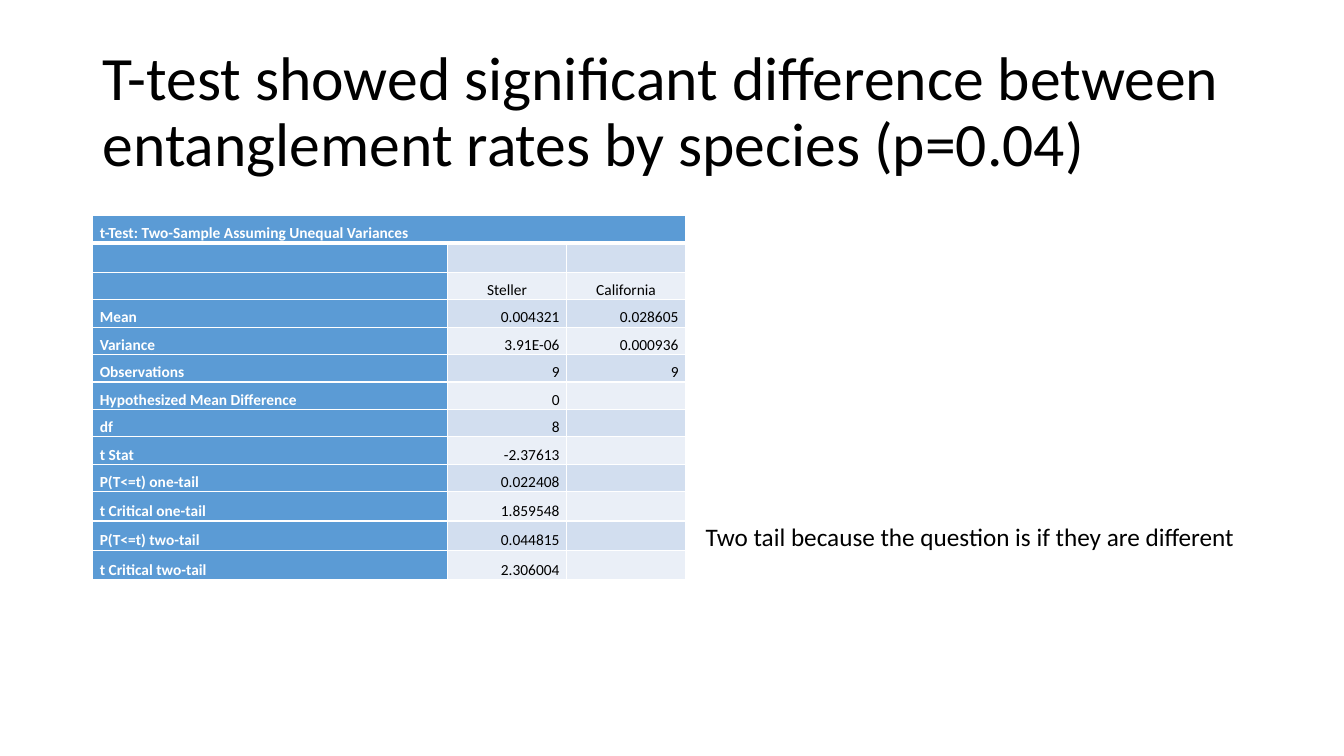
from dataclasses import dataclass

from lxml import etree
from pptx import Presentation
from pptx.dml.color import RGBColor
from pptx.enum.text import MSO_ANCHOR, PP_ALIGN
from pptx.oxml.ns import qn
from pptx.util import Inches, Pt

LEFT, CENTER, RIGHT = PP_ALIGN.LEFT, PP_ALIGN.CENTER, PP_ALIGN.RIGHT
TOP, MIDDLE, BOTTOM = MSO_ANCHOR.TOP, MSO_ANCHOR.MIDDLE, MSO_ANCHOR.BOTTOM


@dataclass(frozen=True)
class Theme:
    font: str = "Calibri"
    text: str = "000000"
    inverse: str = "FFFFFF"
    accent: str = "5B9BD5"
    bands: tuple = ("EAEFF7", "D2DEEF")
    title_size: int = 44
    note_size: int = 18
    table_size: int = 11
    thin_line: int = 1
    thick_line: int = 3


class SlideBuilder:
    def __init__(self, slide, theme):
        self.slide = slide
        self.theme = theme

    def style(self, paragraph, size, color, bold=False, align=LEFT):
        paragraph.alignment = align
        font = paragraph.font
        font.name, font.size, font.bold = self.theme.font, Pt(size), bold
        font.color.rgb = RGBColor.from_string(color)

    def text(self, content, box, size, anchor=TOP, wrap=True, line_spacing=1.0):
        frame = self.slide.shapes.add_textbox(*map(Inches, box)).text_frame
        frame.word_wrap = wrap
        frame.vertical_anchor = anchor
        paragraph = frame.paragraphs[0]
        paragraph.text = content
        paragraph.line_spacing = line_spacing
        self.style(paragraph, size, self.theme.text)

    def borders(self, cell, top, bottom):
        """Draw the four cell edges; top and bottom are widths in points."""
        thin = self.theme.thin_line
        properties = cell._tc.get_or_add_tcPr()
        for side, width in (("L", thin), ("R", thin), ("T", top), ("B", bottom)):
            line = etree.SubElement(properties, qn(f"a:ln{side}"), w=str(Pt(width)))
            fill = etree.SubElement(line, qn("a:solidFill"))
            etree.SubElement(fill, qn("a:srgbClr"), val=self.theme.inverse)

    def cell(self, cell, content, row, column):
        theme = self.theme
        is_label = row == 0 or column == 0
        thin, thick = theme.thin_line, theme.thick_line
        self.borders(cell, thick if row == 1 else thin, thick if row == 0 else thin)
        cell.fill.solid()
        cell.fill.fore_color.rgb = RGBColor.from_string(
            theme.accent if is_label else theme.bands[row % 2])
        cell.vertical_anchor = BOTTOM
        cell.margin_left = cell.margin_right = Inches(0.07)
        cell.margin_top = cell.margin_bottom = 0
        paragraph = cell.text_frame.paragraphs[0]
        if content:
            paragraph.text = content
        else:  # keeps an empty line from stretching its row
            end = paragraph._p.get_or_add_endParaRPr()
            end.set("sz", str(theme.table_size * 100))
        align = LEFT if is_label else CENTER if row == 2 else RIGHT
        self.style(paragraph, theme.table_size,
                   theme.inverse if is_label else theme.text, is_label, align)

    def table(self, rows, box, widths, heights):
        """Build a table whose first row spans all columns."""
        table = self.slide.shapes.add_table(
            len(rows), len(widths), *map(Inches, box)).table
        for column, width in zip(table.columns, widths):
            column.width = Inches(width)
        for row, height in zip(table.rows, heights):
            row.height = Inches(height)
        for r, values in enumerate(rows):
            for c, content in enumerate(values):
                self.cell(table.cell(r, c), content, r, c)
        table.cell(0, 0).merge(table.cell(0, len(widths) - 1))


T_TEST = [
    ("t-Test: Two-Sample Assuming Unequal Variances", "", ""),
    ("", "", ""),
    ("", "Steller", "California"),
    ("Mean", "0.004321", "0.028605"),
    ("Variance", "3.91E-06", "0.000936"),
    ("Observations", "9", "9"),
    ("Hypothesized Mean Difference", "0", ""),
    ("df", "8", ""),
    ("t Stat", "-2.37613", ""),
    ("P(T<=t) one-tail", "0.022408", ""),
    ("t Critical one-tail", "1.859548", ""),
    ("P(T<=t) two-tail", "0.044815", ""),
    ("t Critical two-tail", "2.306004", ""),
]
TABLE_HEIGHT = 3.61
TALL_ROWS, TALL_HEIGHT = (1, 10, 11, 12), 0.29


def main():
    presentation = Presentation()
    presentation.slide_width = Inches(13.33)
    presentation.slide_height = Inches(7.5)
    theme = Theme()
    builder = SlideBuilder(
        presentation.slides.add_slide(presentation.slide_layouts[6]), theme)

    builder.text("T-test showed significant difference between "
                 "entanglement rates by species (p=0.04)",
                 (0.92, 0.4, 11.5, 1.45), theme.title_size, MIDDLE, line_spacing=0.9)

    normal_height = ((TABLE_HEIGHT - len(TALL_ROWS) * TALL_HEIGHT)
                     / (len(T_TEST) - len(TALL_ROWS)))
    heights = [TALL_HEIGHT if r in TALL_ROWS else normal_height
               for r in range(len(T_TEST))]
    builder.table(T_TEST, (0.92, 2.14, 5.88, TABLE_HEIGHT), (3.52, 1.18, 1.18), heights)

    builder.text("Two tail because the question is if they are different",
                 (6.9, 5.12, 5.51, 0.4), theme.note_size, wrap=False)
    presentation.save("out.pptx")


if __name__ == "__main__":
    main()
